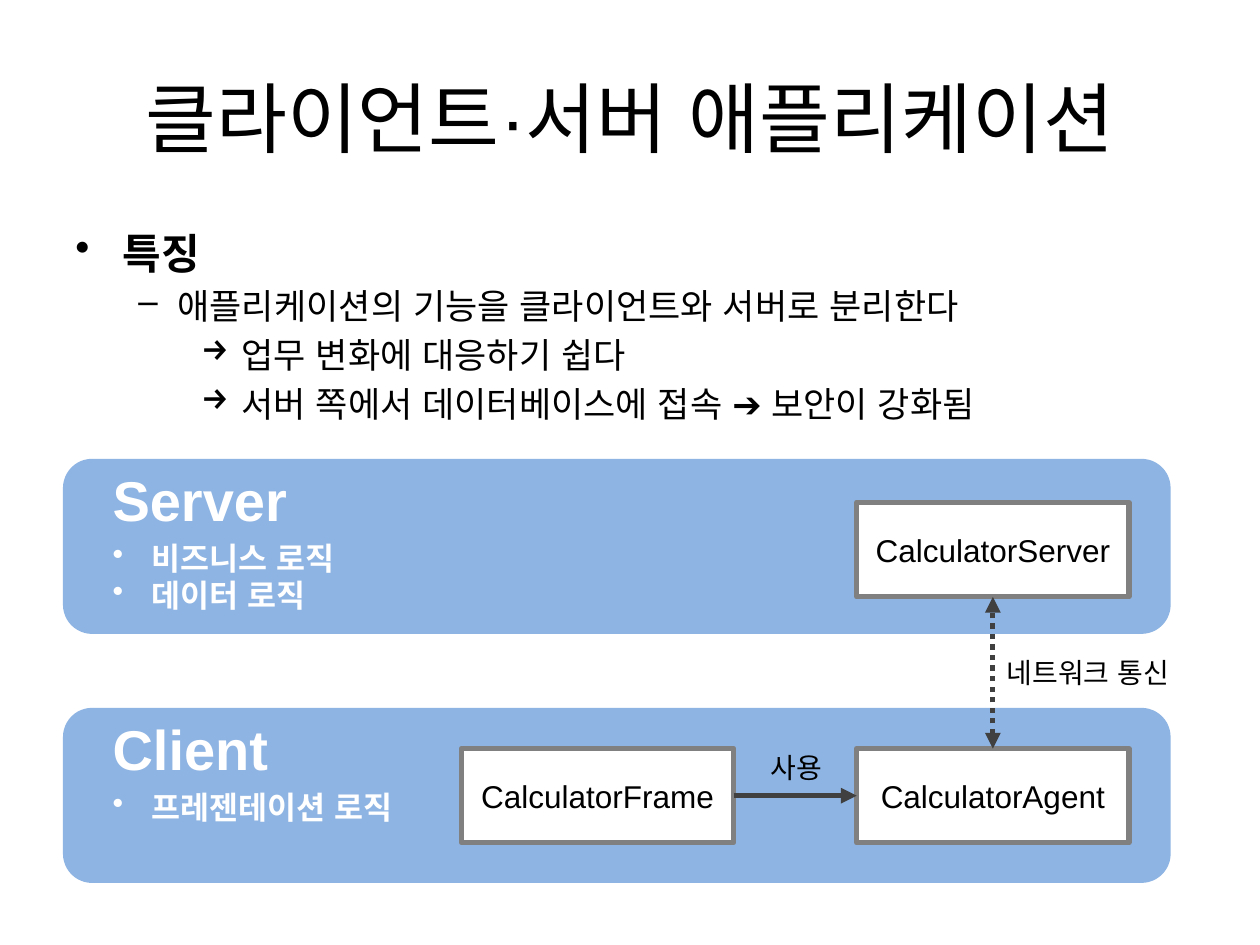
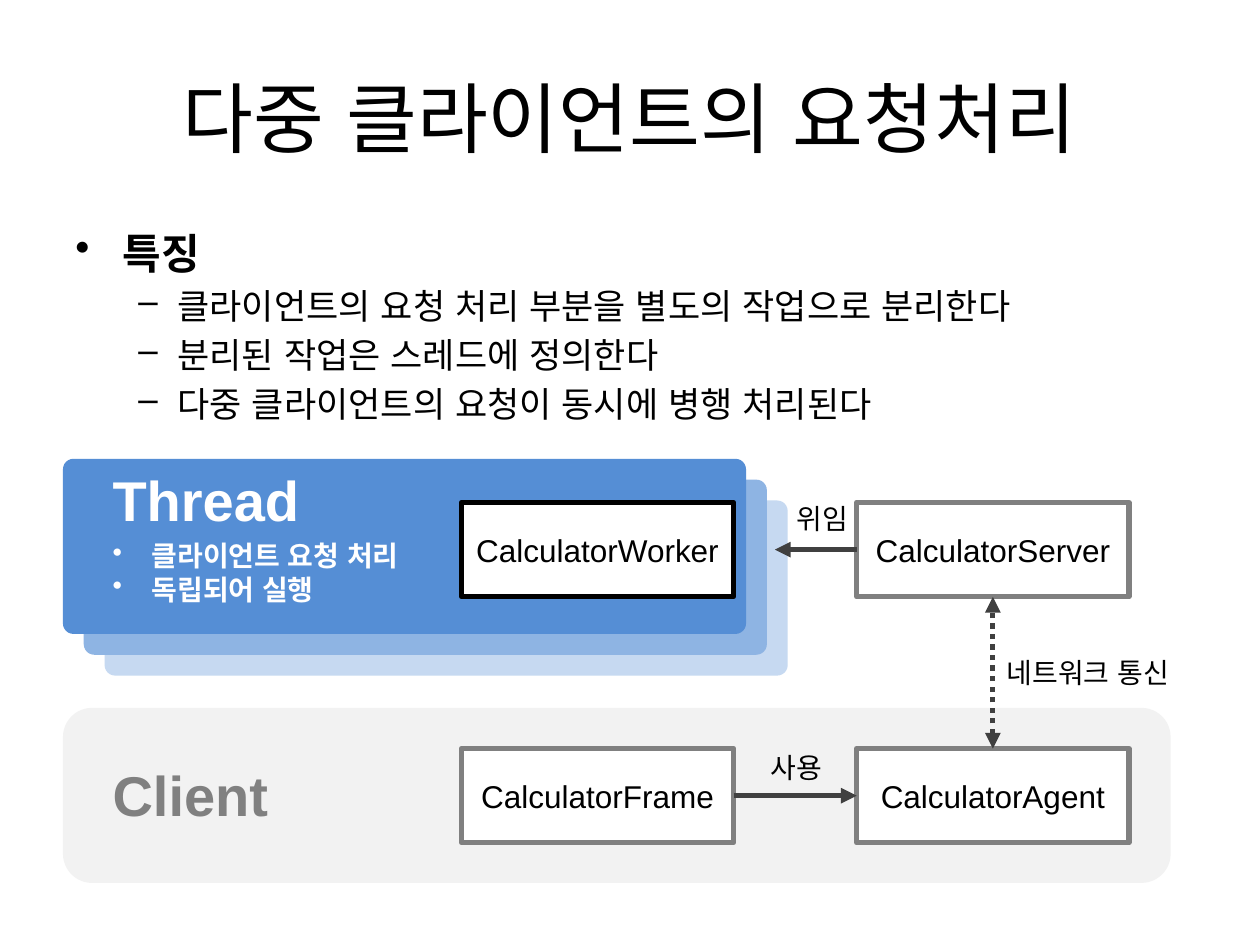
from lxml import etree
from pptx import Presentation
from pptx.dml.color import RGBColor
from pptx.enum.dml import MSO_LINE
from pptx.enum.lang import MSO_LANGUAGE_ID
from pptx.enum.shapes import MSO_CONNECTOR, MSO_SHAPE
from pptx.enum.text import MSO_ANCHOR, PP_ALIGN
from pptx.oxml.ns import qn
from pptx.util import Cm, Pt

RECT, ROUNDED = MSO_SHAPE.RECTANGLE, MSO_SHAPE.ROUNDED_RECTANGLE
LEFT, CENTER = PP_ALIGN.LEFT, PP_ALIGN.CENTER
TOP, MIDDLE = MSO_ANCHOR.TOP, MSO_ANCHOR.MIDDLE
STRAIGHT, DOTTED = MSO_CONNECTOR.STRAIGHT, MSO_LINE.ROUND_DOT
KOREAN = MSO_LANGUAGE_ID.KOREAN
SITE_TOP, SITE_LEFT, SITE_BOTTOM, SITE_RIGHT = range(4)

FONT = "Arial"
BLACK, WHITE, GRAY, DARK, PALE = "000000", "FFFFFF", "808080", "404040", "F2F2F2"
BLUE, MID_BLUE, LIGHT_BLUE = "558ED5", "8EB4E3", "C6D9F1"

# Lengths in cm
PANEL_X, PANEL_W, PANEL_H = 1.27, 22.33, 3.53
SERVER_Y, CLIENT_Y = 9.25, 14.27
SHEET_W, SHEET_STEP = 13.77, 0.42
HEADING_X, HEADING_W, LIST_W = 1.96, 4.78, 7.11
LIST_DROP = 1.48
BOX_W, BOX_H = 5.49, 1.9
LEFT_COL, RIGHT_COL = 9.3, 17.27
SERVER_ROW, CLIENT_ROW = 10.13, 15.09

# Outline level: bullet, left margin, hanging indent, size, bold, space before
LEVELS = [
    ("•", 0.95, 0.95, 24, True, 0),
    ("–", 2.06, 0.79, 20, False, 4),
    ("→", 3.35, 0.81, 20, False, 4),
]

APPLICATION = {
    "title": "클라이언트·서버 애플리케이션",
    "outline": [
        (0, "특징"),
        (1, "애플리케이션의 기능을 클라이언트와 서버로 분리한다"),
        (2, "업무 변화에 대응하기 쉽다"),
        (2, "서버 쪽에서 데이터베이스에 접속 ➔ 보안이 강화됨"),
    ],
    "panels": [(CLIENT_Y, MID_BLUE), (SERVER_Y, MID_BLUE)],
    "headings": [("Server", SERVER_Y, WHITE), ("Client", CLIENT_Y, WHITE)],
    "lists": [
        (SERVER_Y, 18, ["비즈니스 로직", "데이터 로직"]),
        (CLIENT_Y, 18, ["프레젠테이션 로직"]),
    ],
}
REQUESTS = {
    "title": "다중 클라이언트의 요청처리",
    "outline": [
        (0, "특징"),
        (1, "클라이언트의 요청 처리 부분을 별도의 작업으로 분리한다"),
        (1, "분리된 작업은 스레드에 정의한다"),
        (1, "다중 클라이언트의 요청이 동시에 병행 처리된다"),
    ],
    "panels": [(CLIENT_Y, PALE)],
    "headings": [("Thread", SERVER_Y, WHITE), ("Client", CLIENT_Y + 0.94, GRAY)],
    "lists": [(SERVER_Y, 16, ["클라이언트 요청 처리", "독립되어 실행"])],
}


def rgb(value):
    return RGBColor.from_string(value)


def write(p, text, size=16, color=BLACK, bold=False, align=LEFT,
          bullet=None, margin=0, hanging=0, before=0):
    """Put text in paragraph p; margin and hanging are in cm, before in points."""
    pPr = p._p.get_or_add_pPr()
    pPr.set("marL", str(Cm(margin)))
    pPr.set("indent", str(-Cm(hanging)))
    if bullet:
        etree.SubElement(pPr, qn("a:buChar")).set("char", bullet)
    if before:
        p.space_before = Pt(before)
    p.alignment = align
    r = p.add_run()
    r.text = text
    r.font.name, r.font.size, r.font.bold = FONT, Pt(size), bold
    r.font.color.rgb = rgb(color)
    r.font.language_id = KOREAN


def set_frame(tf, anchor=TOP, inset=0.21):
    tf.word_wrap = True
    tf.vertical_anchor = anchor
    tf.margin_left = tf.margin_right = Cm(inset)
    tf.margin_top = tf.margin_bottom = Cm(0.13)


def add_text(s, x, y, w, h, items, inset=0.21):
    """Add a text box; items are (text, format) pairs, one a paragraph."""
    tf = s.shapes.add_textbox(Cm(x), Cm(y), Cm(w), Cm(h)).text_frame
    set_frame(tf, inset=inset)
    for i, (text, style) in enumerate(items):
        write(tf.add_paragraph() if i else tf.paragraphs[0], text, **style)


def add_label(s, x, y, w, text, align=CENTER):
    add_text(s, x, y, w, 0.94, [(text, dict(align=align, margin=0.1))])


def add_block(s, kind, x, y, w, h, fill):
    sp = s.shapes.add_shape(kind, Cm(x), Cm(y), Cm(w), Cm(h))
    sp.shadow.inherit = False
    sp.fill.solid()
    sp.fill.fore_color.rgb = rgb(fill)
    sp.line.fill.background()
    return sp


def add_class(s, x, y, name, border=GRAY):
    sp = add_block(s, RECT, x, y, BOX_W, BOX_H, WHITE)
    sp.line.color.rgb = rgb(border)
    sp.line.width = Pt(3)
    set_frame(sp.text_frame, MIDDLE, inset=0.13)
    write(sp.text_frame.paragraphs[0], name, size=18, align=CENTER)
    return sp


def add_arrow(s, start, site, end=None, end_site=None, end_x=0, both=False):
    """Run an arrow from a box to another box, or level to end_x in cm."""
    c = s.shapes.add_connector(STRAIGHT, 0, 0, 0, 0)
    c.begin_connect(start, site)
    if end is None:
        c.end_x, c.end_y = Cm(end_x), c.begin_y
    else:
        c.end_connect(end, end_site)
    c.line.color.rgb = rgb(DARK)
    c.line.width = Pt(3)
    if both:
        c.line.dash_style = DOTTED
    ln = c.line._get_or_add_ln()
    for tag in ["a:headEnd", "a:tailEnd"] if both else ["a:tailEnd"]:
        etree.SubElement(ln, qn(tag)).set("type", "triangle")
    etree.SubElement(c._element.spPr, qn("a:effectLst"))


def add_outline(s, title, outline):
    t = s.shapes.title
    t.left, t.top, t.width, t.height = Cm(1.27), Cm(0.76), Cm(22.86), Cm(3.18)
    t.text_frame.vertical_anchor = MIDDLE
    write(t.text_frame.paragraphs[0], title, size=44, align=CENTER)
    items = []
    for level, text in outline:
        bullet, margin, hanging, size, bold, before = LEVELS[level]
        items.append((text, dict(bullet=bullet, margin=margin, hanging=hanging,
                                 size=size, bold=bold, before=before)))
    add_text(s, 1.27, 4.45, 22.86, 4.8, items, inset=0.25)


def add_classes(s):
    """Draw the three classes and links both slides share; return the server."""
    server = add_class(s, RIGHT_COL, SERVER_ROW, "CalculatorServer")
    frame = add_class(s, LEFT_COL, CLIENT_ROW, "CalculatorFrame")
    agent = add_class(s, RIGHT_COL, CLIENT_ROW, "CalculatorAgent")
    add_arrow(s, frame, SITE_RIGHT, agent, SITE_LEFT)
    add_label(s, 15.04, 15.01, 1.93, "사용")
    add_arrow(s, agent, SITE_TOP, server, SITE_BOTTOM, both=True)
    add_label(s, 19.99, 13.08, 5.13, "네트워크 통신", LEFT)
    return server


def add_thread_sheets(s):
    for i, fill in reversed(list(enumerate([BLUE, MID_BLUE, LIGHT_BLUE]))):
        shift = i * SHEET_STEP
        sheet = add_block(s, ROUNDED, PANEL_X + shift, SERVER_Y + shift,
                          SHEET_W, PANEL_H, fill)
        sheet.adjustments[0] = 0.06


def add_worker(s, server):
    add_class(s, LEFT_COL, SERVER_ROW, "CalculatorWorker", BLACK)
    add_arrow(s, server, SITE_LEFT, end_x=15.62)
    add_label(s, 15.57, 9.98, 1.93, "위임")


def add_slide(prs, content, threaded=False):
    s = prs.slides.add_slide(prs.slide_layouts[5])
    add_outline(s, content["title"], content["outline"])
    if threaded:
        add_thread_sheets(s)
    for y, fill in content["panels"]:
        add_block(s, ROUNDED, PANEL_X, y, PANEL_W, PANEL_H, fill)
    server = add_classes(s)
    for text, y, color in content["headings"]:
        add_text(s, HEADING_X, y, HEADING_W, 1.63,
                 [(text, dict(size=32, color=color, bold=True, margin=0.1))])
    for y, size, lines in content["lists"]:
        style = dict(size=size, color=WHITE, bold=True,
                     bullet="•", margin=0.89, hanging=0.79)
        add_text(s, HEADING_X, y + LIST_DROP, LIST_W, 0.9 * len(lines),
                 [(line, style) for line in lines])
    if threaded:
        add_worker(s, server)


def main():
    prs = Presentation()
    prs.slide_width, prs.slide_height = Cm(25.4), Cm(19.05)
    add_slide(prs, APPLICATION)
    add_slide(prs, REQUESTS, threaded=True)
    prs.save("out.pptx")


if __name__ == "__main__":
    main()
